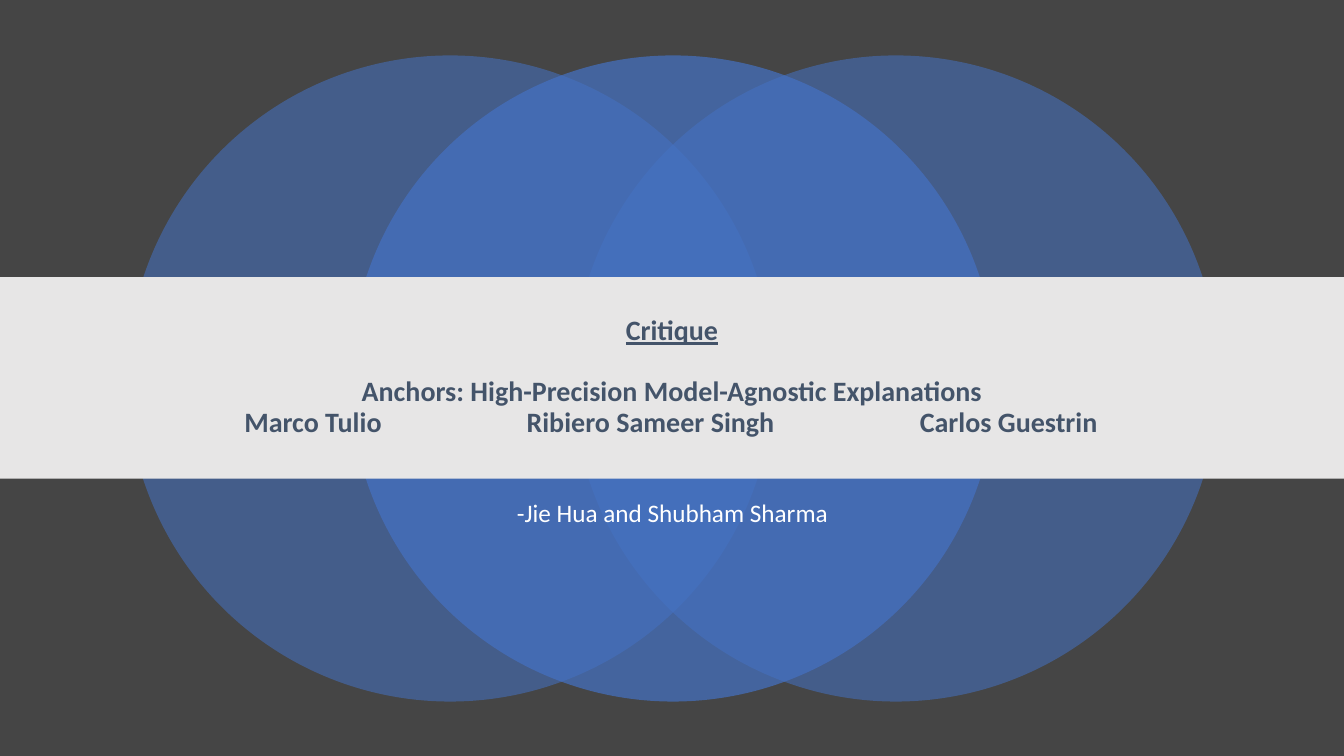
from pptx import Presentation
from pptx.dml.color import RGBColor
from pptx.enum import shapes, text
from pptx.oxml import parse_xml
from pptx.oxml.ns import nsdecls, qn
from pptx.util import Inches, Pt

DARK = RGBColor(0x45, 0x45, 0x45)
BLUE = RGBColor(0x44, 0x72, 0xC4)
LIGHT = RGBColor(0xE7, 0xE6, 0xE6)
SLATE = RGBColor(0x44, 0x54, 0x6A)
WHITE = RGBColor(0xFF, 0xFF, 0xFF)
FONT = "Calibri"
WIDTH, HEIGHT = 13.33, 7.5
AUTHORS = [("Marco Tulio", 0.66), ("Ribiero Sameer Singh", 3.46),
           ("Carlos Guestrin", 7.36)]


def add_filled(s, kind, box, color, opacity=100):
    """Add a borderless shape; opacity is a percentage."""
    sp = s.shapes.add_shape(kind, *map(Inches, box))
    sp.shadow.inherit = False
    sp.line.fill.background()
    sp.fill.solid()
    sp.fill.fore_color.rgb = color
    if opacity < 100:
        clr = sp._element.spPr.find(qn("a:solidFill"))[0]
        clr.append(parse_xml(f'<a:alpha {nsdecls("a")} val="{opacity * 1000}"/>'))


def add_text(s, box, anchor=text.MSO_ANCHOR.TOP):
    """Add a wrapping text box and return its text frame."""
    tf = s.shapes.add_textbox(*map(Inches, box)).text_frame
    tf.word_wrap = True
    tf.vertical_anchor = anchor
    return tf


def add_run(p, words, size, color, bold=False, underline=False,
            align=text.PP_ALIGN.CENTER):
    """Format paragraph p and add one run to it."""
    p.alignment = align
    p.line_spacing = 0.9
    r = p.add_run()
    r.text = words
    f = r.font
    f.name, f.size, f.bold, f.underline = FONT, Pt(size), bold, underline
    f.color.rgb = color


def add_circles(s, box):
    """Overlap three equal circles across the box, the middle one in front."""
    x, y, w, h = box
    step = (w - h) / 2
    for column, opacity in [(0, 55), (2, 55), (1, 70)]:
        add_filled(s, shapes.MSO_SHAPE.OVAL, (x + column * step, y, h, h),
                   BLUE, opacity)


def add_title_band(s, box):
    """Draw the light band with the heading, paper title and authors."""
    x, y, w, h = box
    add_filled(s, shapes.MSO_SHAPE.RECTANGLE, box, LIGHT)
    tf = add_text(s, (x + (w - 10) / 2, y + 0.38, 10, 1.23),
                  text.MSO_ANCHOR.MIDDLE)
    add_run(tf.paragraphs[0], "Critique", 20, SLATE, True, True)
    p = tf.add_paragraph()
    p.space_before = Pt(22)
    add_run(p, "Anchors: High-Precision Model-Agnostic Explanations",
            20, SLATE, True)
    p = tf.add_paragraph()
    for name, _ in AUTHORS:
        add_run(p, "\t" + name, 20, SLATE, True, align=text.PP_ALIGN.LEFT)
    tabs = "".join(f'<a:tab pos="{Inches(pos)}" algn="l"/>' for _, pos in AUTHORS)
    p._p.get_or_add_pPr().append(
        parse_xml(f'<a:tabLst {nsdecls("a")}>{tabs}</a:tabLst>'))


def add_presenters(s, box):
    """Write the presenters' names at the top of the box."""
    tf = add_text(s, box)
    add_run(tf.paragraphs[0], "-Jie Hua and Shubham Sharma", 18, WHITE)


def build_title_slide(prs):
    """Compose the title slide."""
    s = prs.slides.add_slide(prs.slide_layouts[6])
    s.background.fill.solid()
    s.background.fill.fore_color.rgb = DARK
    add_circles(s, (1.26, 0.55, 10.83, 6.41))
    add_presenters(s, (1.67, 4.92, 10, 0.83))
    add_title_band(s, (0, 2.75, WIDTH, 2))


prs = Presentation()
prs.slide_width, prs.slide_height = Inches(WIDTH), Inches(HEIGHT)
build_title_slide(prs)
prs.save("out.pptx")
